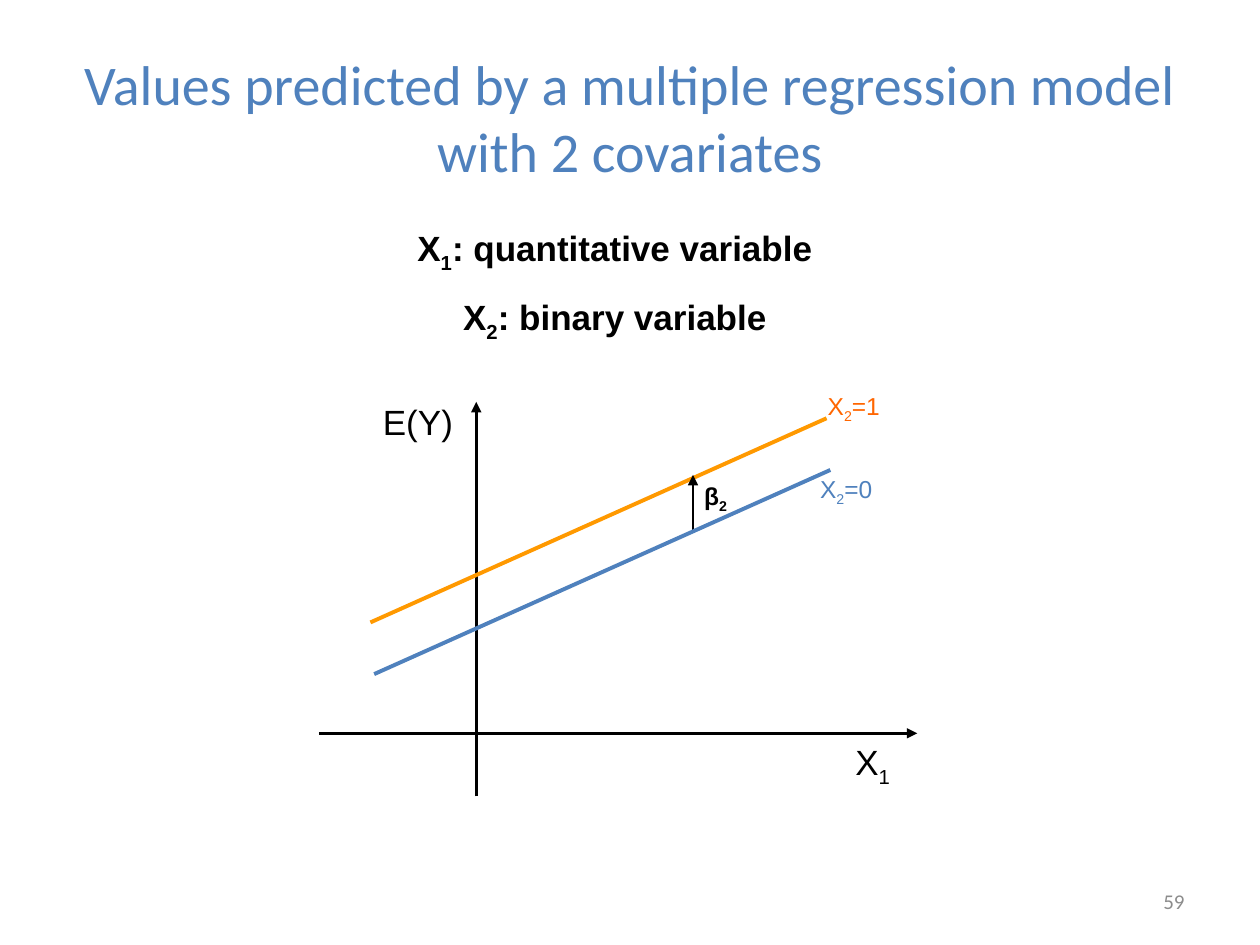
from dataclasses import dataclass

from lxml import etree
from pptx import Presentation
from pptx import util as u
from pptx.dml.color import RGBColor
from pptx.enum import shapes, text
from pptx.oxml.ns import qn

PX = u.Inches(1) // 100  # 100 px to the inch
HUES = {"black": "000000", "blue": "4F81BD", "gold": "FF9900",
        "orange": "FF6600", "grey": "8C8C8C"}
LEFT, MID, RIGHT = text.PP_ALIGN.LEFT, text.PP_ALIGN.CENTER, text.PP_ALIGN.RIGHT
TOP, CENTRE = text.MSO_ANCHOR.TOP, text.MSO_ANCHOR.MIDDLE


@dataclass
class Label:
    """Text with each subscript set between bars."""
    lines: list[str]
    box: tuple[int, int, int, int]
    size: int
    hue: str = "black"
    bold: bool = False
    align: int = LEFT
    font: str = "Arial"
    anchor: int = TOP


@dataclass
class Line:
    start: tuple[int, int]
    end: tuple[int, int]
    width: float
    hue: str = "black"
    arrow: bool = False


def paint(hue: str) -> RGBColor:
    return RGBColor.from_string(HUES[hue])


def write(shape, label: Label) -> None:
    shape.left, shape.top, shape.width, shape.height = (
        n * PX for n in label.box)
    frame = shape.text_frame
    frame.word_wrap = True
    frame.vertical_anchor = label.anchor
    for row, line in enumerate(label.lines):
        para = frame.add_paragraph() if row else frame.paragraphs[0]
        para.alignment = label.align
        para.space_before = u.Pt(12 if row else 0)
        for part, words in enumerate(line.split("|")):
            run = para.add_run()
            run.text = words
            run.font.size = u.Pt(label.size)
            run.font.name = label.font
            run.font.bold = label.bold
            run.font.color.rgb = paint(label.hue)
            if part % 2:
                run.font._element.set("baseline", "-25000")


def draw(slide, line: Line) -> None:
    ends = [n * PX for n in (*line.start, *line.end)]
    link = slide.shapes.add_connector(shapes.MSO_CONNECTOR.STRAIGHT, *ends)
    link.line.width = u.Pt(line.width)
    link.line.color.rgb = paint(line.hue)
    if line.arrow:
        tail = etree.SubElement(link.line._get_or_add_ln(), qn("a:tailEnd"))
        tail.set("type", "triangle")
    etree.SubElement(link._element.spPr, qn("a:effectLst"))


TITLE = Label(
    ["Values predicted by a multiple regression model with 2 covariates"],
    (50, 30, 900, 125), 32, "blue", align=MID, font="Calibri", anchor=CENTRE)

LINES = [
    Line((378, 632), (378, 319), 2, arrow=True),
    Line((253, 582), (728, 582), 1.5, arrow=True),
    Line((294, 494), (656, 332), 2.25, "gold"),
    Line((550, 421), (550, 377), 0.75, arrow=True),
    Line((297, 535), (659, 373), 2.25, "blue"),
]

LABELS = [
    Label(["X|1|: quantitative variable", "X|2|: binary variable"],
          (307, 175, 362, 94), 20, bold=True, align=MID),
    Label(["E(Y)"], (294, 313, 85, 38), 20),
    Label(["X|1"], (669, 583, 57, 38), 20),
    Label(["β|2"], (549, 377, 50, 44), 14, bold=True),
    Label(["X|2|=1"], (647, 305, 85, 38), 14, "orange"),
    Label(["X|2|=0"], (641, 371, 85, 38), 14, "blue"),
    Label(["59"], (717, 695, 233, 40), 12, "grey", align=RIGHT,
          font="Calibri", anchor=CENTRE),
]


def main() -> None:
    deck = Presentation()
    deck.slide_width, deck.slide_height = 1000 * PX, 750 * PX
    slide = deck.slides.add_slide(deck.slide_layouts[5])
    write(slide.shapes.title, TITLE)
    for line in LINES:
        draw(slide, line)
    for label in LABELS:
        write(slide.shapes.add_textbox(0, 0, 0, 0), label)
    deck.save("out.pptx")


if __name__ == "__main__":
    main()
